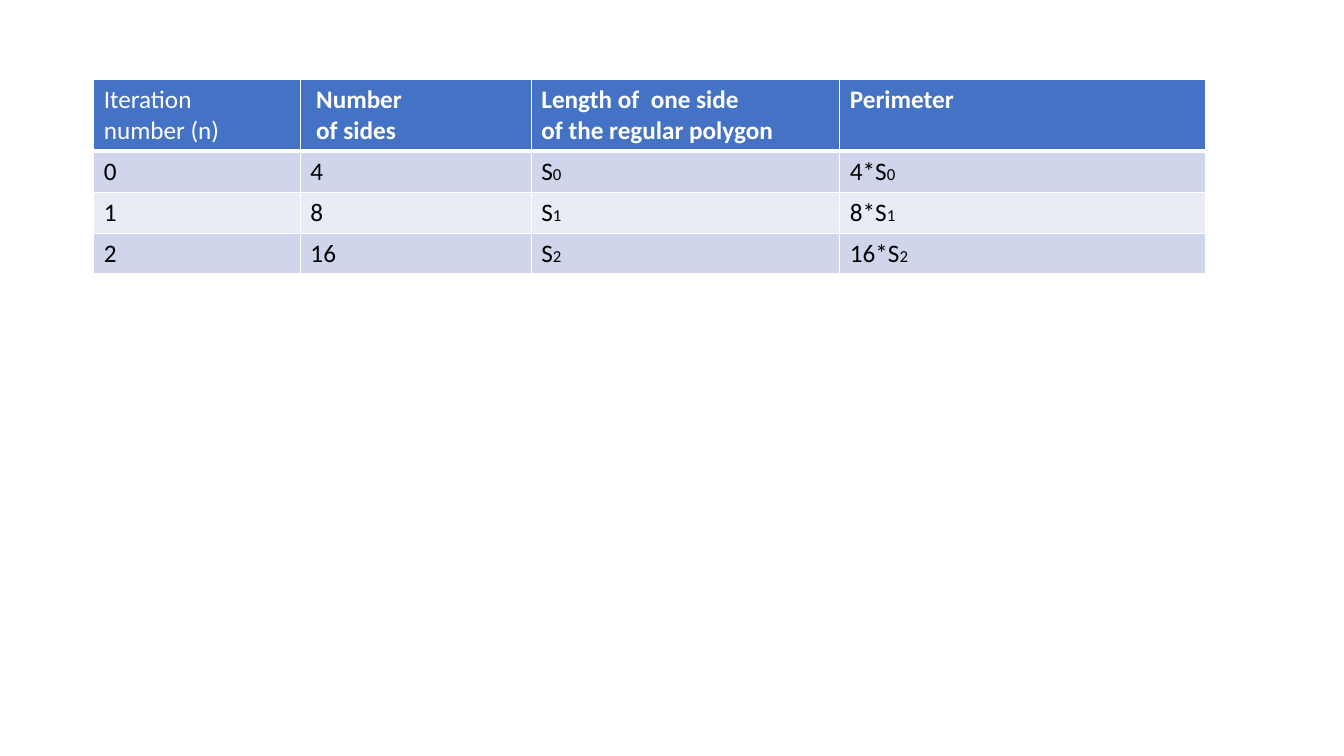
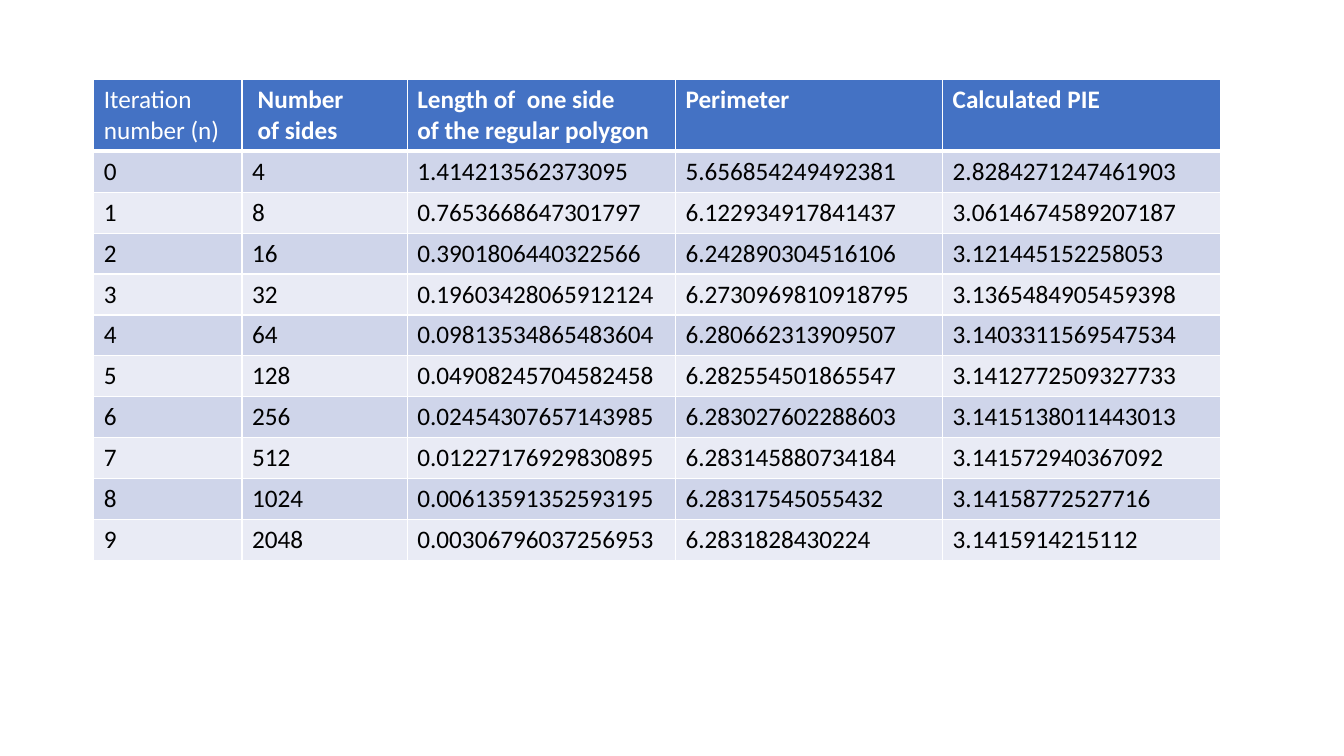
from lxml import etree
from pptx import Presentation
from pptx.dml.color import RGBColor
from pptx.oxml.ns import qn
from pptx.util import Inches, Pt

FONT = "Calibri"
WHITE = RGBColor(0xFF, 0xFF, 0xFF)
BLACK = RGBColor(0x00, 0x00, 0x00)
HEADER_BLUE = RGBColor(0x44, 0x72, 0xC4)
BANDS = RGBColor(0xCF, 0xD5, 0xEA), RGBColor(0xE9, 0xEB, 0xF5)

LEFT, TOP = Inches(0.93), Inches(0.79)
HEADER_HEIGHT = Inches(0.7)
ROW_HEIGHT = Inches(4.06) // 10
TEXT_SIZE, SUBSCRIPT_SIZE = 18, 12
THIN, THICK = 1, 3

HEADINGS = [
    ["Iteration", "number (n)"],
    [" Number", " of sides"],
    ["Length of  one side", "of the regular polygon"],
    ["Perimeter"],
]
FIRST_SIDES = 4  # doubled at every iteration

# Side length, perimeter, calculated value
RESULTS = [
    ("1.414213562373095", "5.656854249492381", "2.8284271247461903"),
    ("0.7653668647301797", "6.122934917841437", "3.0614674589207187"),
    ("0.3901806440322566", "6.242890304516106", "3.121445152258053"),
    ("0.19603428065912124", "6.2730969810918795", "3.1365484905459398"),
    ("0.09813534865483604", "6.280662313909507", "3.1403311569547534"),
    ("0.04908245704582458", "6.282554501865547", "3.1412772509327733"),
    ("0.02454307657143985", "6.283027602288603", "3.1415138011443013"),
    ("0.01227176929830895", "6.283145880734184", "3.141572940367092"),
    ("0.00613591352593195", "6.28317545055432", "3.14158772527716"),
    ("0.00306796037256953", "6.2831828430224", "3.1415914215112"),
]


def sides(n):
    return FIRST_SIDES * 2 ** n


# A cell is a list of lines; a line is a string or a (base, subscript) pair.
FORMULA_ROWS = [
    [[str(n)], [str(sides(n))], [("S", str(n))], [(f"{sides(n)}*S", str(n))]]
    for n in range(3)
]
RESULT_ROWS = [
    [[str(n)], [str(sides(n))]] + [[value] for value in values]
    for n, values in enumerate(RESULTS)
]
TABLES = [
    (HEADINGS, FORMULA_ROWS, (2.05, 2.29, 3.06, 3.63)),
    (HEADINGS + [["Calculated PIE"]], RESULT_ROWS, (1.47, 1.64, 2.66, 2.65, 2.76)),
]


def add_text(paragraph, text, *, size=TEXT_SIZE, color=BLACK, bold=False):
    run = paragraph.add_run()
    run.text = text
    run.font.name = FONT
    run.font.size = Pt(size)
    run.font.bold = bold
    run.font.color.rgb = color


def write_lines(cell, lines, **text_format):
    frame = cell.text_frame
    for index, line in enumerate(lines):
        paragraph = frame.add_paragraph() if index else frame.paragraphs[0]
        base, subscript = (line, "") if isinstance(line, str) else line
        add_text(paragraph, base, **text_format)
        if subscript:
            add_text(paragraph, subscript, size=SUBSCRIPT_SIZE, **text_format)


def set_borders(cell, top, bottom):
    """Draw white cell borders; top and bottom are widths in points."""
    properties = cell._tc.get_or_add_tcPr()
    for edge, width in (("L", THIN), ("R", THIN), ("T", top), ("B", bottom)):
        line = etree.SubElement(properties, qn(f"a:ln{edge}"), w=str(Pt(width)))
        fill = etree.SubElement(line, qn("a:solidFill"))
        etree.SubElement(fill, qn("a:srgbClr"), val=str(WHITE))


def paint_cell(cell, color, top=THIN, bottom=THIN):
    set_borders(cell, top, bottom)
    cell.fill.solid()
    cell.fill.fore_color.rgb = color


def add_polygon_table(slide, headings, rows, widths):
    height = HEADER_HEIGHT + ROW_HEIGHT * len(rows)
    table = slide.shapes.add_table(
        len(rows) + 1, len(headings), LEFT, TOP, Inches(sum(widths)), height
    ).table
    for column, width in zip(table.columns, widths):
        column.width = Inches(width)
    for index, row in enumerate(table.rows):
        row.height = ROW_HEIGHT if index else HEADER_HEIGHT

    for c, heading in enumerate(headings):
        cell = table.cell(0, c)
        paint_cell(cell, HEADER_BLUE, bottom=THICK)
        write_lines(cell, heading, color=WHITE, bold=c > 0)
    for r, row in enumerate(rows):
        for c, lines in enumerate(row):
            cell = table.cell(r + 1, c)
            paint_cell(cell, BANDS[r % 2], top=THIN if r else THICK)
            write_lines(cell, lines)


def main():
    deck = Presentation()
    deck.slide_width, deck.slide_height = Inches(13.33), Inches(7.5)
    blank = deck.slide_layouts.get_by_name("Blank")
    for headings, rows, widths in TABLES:
        add_polygon_table(deck.slides.add_slide(blank), headings, rows, widths)
    deck.save("out.pptx")


if __name__ == "__main__":
    main()
